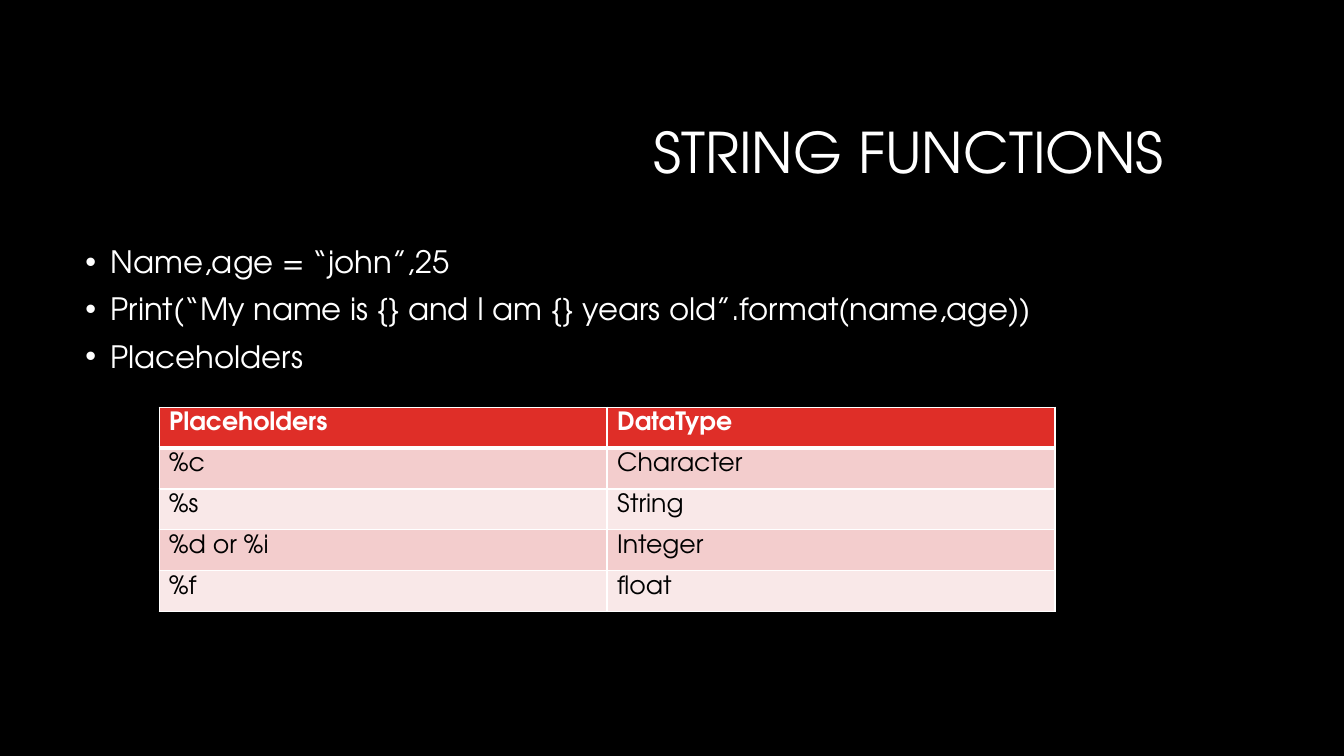
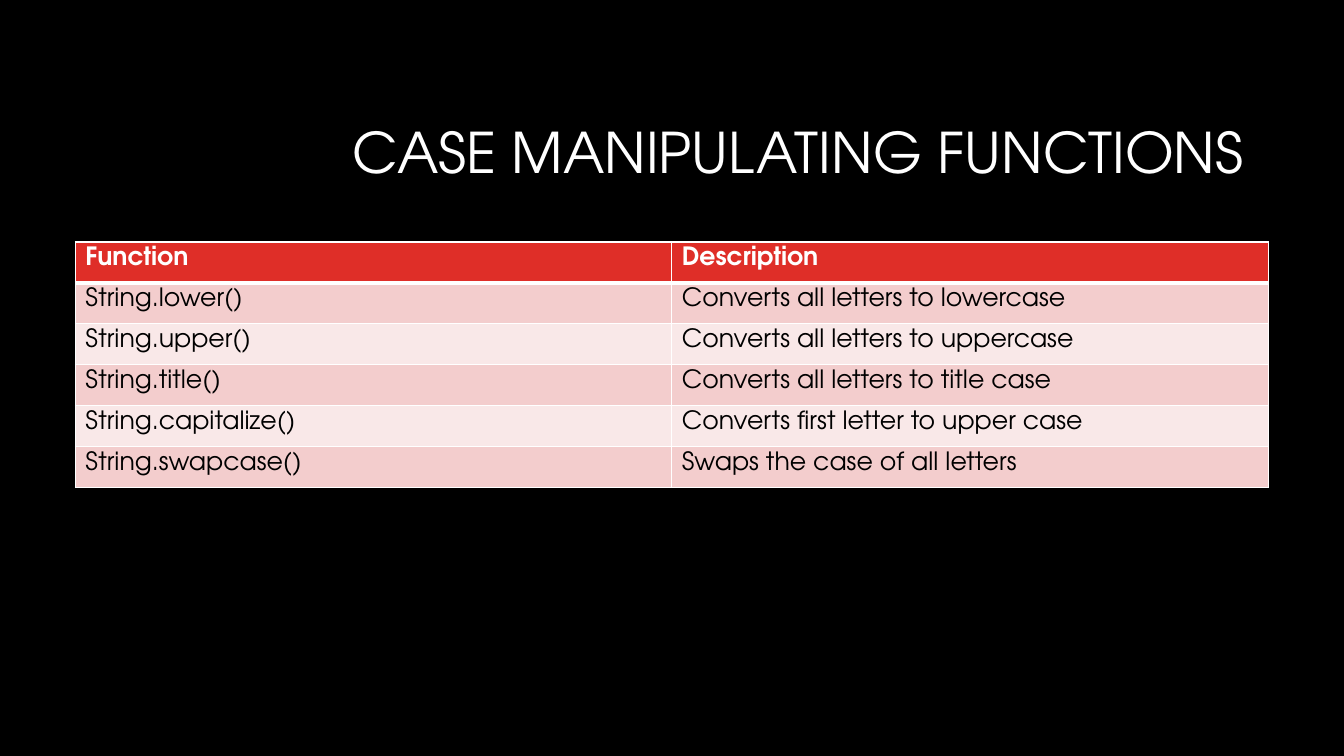
from lxml import etree
from pptx import Presentation
from pptx import util as u
from pptx.dml.color import RGBColor
from pptx.enum import text
from pptx.oxml import ns

BLACK = RGBColor(0x00, 0x00, 0x00)
WHITE = RGBColor(0xFF, 0xFF, 0xFF)
RED = RGBColor(0xDF, 0x2E, 0x28)
ROSE = RGBColor(0xF3, 0xCD, 0xCD)
PALE_ROSE = RGBColor(0xF9, 0xE8, 0xE8)
FONT = "TeX Gyre Adventor"


class Deck:
    left, content_top, content_width = u.Cm(1.9), u.Cm(6.1), u.Cm(30.06)
    row_height = u.Cm(1.03)
    hanging = u.Cm(0.64)

    def __init__(self):
        self.prs = Presentation()
        self.prs.slide_width, self.prs.slide_height = u.Cm(33.87), u.Cm(19.05)
        background = self.prs.slide_master.background.fill
        background.solid()
        background.fore_color.rgb = BLACK
        self.slide = None

    def style(self, paragraph, size, color, bold=False):
        font = paragraph.font
        font.name, font.size, font.bold = FONT, u.Pt(size), bold
        font.color.rgb = color

    def text_frame(self, left, top, width, height):
        frame = self.slide.shapes.add_textbox(left, top, width, height).text_frame
        frame.word_wrap = True
        return frame

    def add_slide(self, title, right_inset):
        self.slide = self.prs.slides.add_slide(self.prs.slide_layouts[6])
        frame = self.text_frame(u.Cm(8.05), u.Cm(2.13), u.Cm(23.92), u.Cm(3.58))
        frame.vertical_anchor = text.MSO_ANCHOR.MIDDLE
        frame.margin_right = right_inset
        heading = frame.paragraphs[0]
        heading.text = title
        heading.alignment = text.PP_ALIGN.RIGHT
        heading.line_spacing = 0.9
        self.style(heading, 40, WHITE)

    def bullets(self, points):
        frame = self.text_frame(self.left, self.content_top, self.content_width, u.Cm(11.18))
        for index, point in enumerate(points):
            paragraph = frame.add_paragraph() if index else frame.paragraphs[0]
            paragraph.text = point
            paragraph.line_spacing = 0.9
            paragraph.space_before = u.Pt(10)
            self.style(paragraph, 22, WHITE)
            properties = paragraph._p.get_or_add_pPr()
            properties.set("marL", str(self.hanging))
            properties.set("indent", str(-self.hanging))
            etree.SubElement(properties, ns.qn("a:buFont"), typeface="Arial")
            etree.SubElement(properties, ns.qn("a:buChar"), char="•")

    def borders(self, cell, top, bottom):
        properties = cell._tc.get_or_add_tcPr()
        for side, points in (("L", 1), ("R", 1), ("T", top), ("B", bottom)):
            line = etree.SubElement(properties, ns.qn(f"a:ln{side}"), w=str(u.Pt(points)))
            fill = etree.SubElement(line, ns.qn("a:solidFill"))
            etree.SubElement(fill, ns.qn("a:srgbClr"), val=str(WHITE))

    def table(self, rows, left, top, width):
        grid = self.slide.shapes.add_table(
            len(rows), len(rows[0]), left, top, width, self.row_height * len(rows)
        ).table
        for r, row in enumerate(rows):
            header = r == 0
            fill = RED if header else (PALE_ROSE, ROSE)[r % 2]
            for c, value in enumerate(row):
                cell = grid.cell(r, c)
                cell.text = value
                self.style(cell.text_frame.paragraphs[0], 18, WHITE if header else BLACK, header)
                self.borders(cell, top=3 if r == 1 else 1, bottom=3 if header else 1)
                cell.fill.solid()
                cell.fill.fore_color.rgb = fill


def main():
    deck = Deck()

    deck.add_slide("STRING FUNCTIONS", right_inset=u.Cm(2.64))
    deck.bullets([
        "Name,age = “john”,25",
        "Print(“My name is {} and I am {} years old”.format(name,age))",
        "Placeholders",
    ])
    placeholders = [
        ("Placeholders", "DataType"),
        ("%c", "Character"),
        ("%s", "String"),
        ("%d or %i", "Integer"),
        ("%f", "float"),
    ]
    deck.table(placeholders, u.Cm(4.01), u.Cm(10.26), u.Cm(22.58))

    deck.add_slide("CASE MANIPULATING FUNCTIONS", right_inset=u.Cm(0.64))
    case_functions = [
        ("Function", "Description"),
        ("String.lower()", "Converts all letters to lowercase"),
        ("String.upper()", "Converts all letters to uppercase"),
        ("String.title()", "Converts all letters to title case"),
        ("String.capitalize()", "Converts first letter to upper case"),
        ("String.swapcase()", "Swaps the case of all letters"),
    ]
    deck.table(case_functions, deck.left, deck.content_top, deck.content_width)

    deck.prs.save("out.pptx")


if __name__ == "__main__":
    main()
